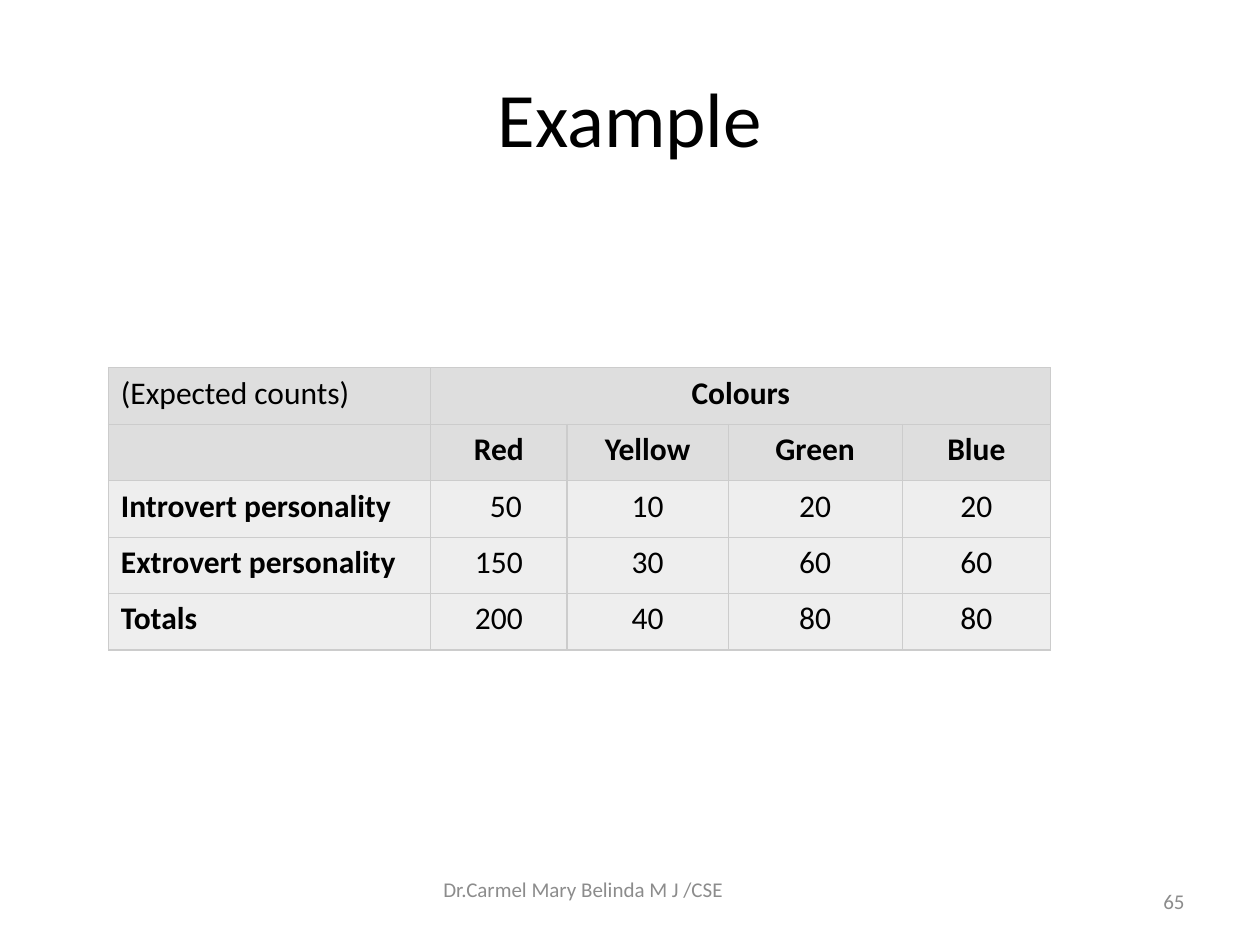
from dataclasses import dataclass

from lxml.etree import SubElement
from pptx import Presentation
from pptx.dml.color import RGBColor
from pptx.enum.text import MSO_ANCHOR, PP_ALIGN
from pptx.oxml.ns import qn
from pptx.util import Inches, Pt


@dataclass(frozen=True)
class Theme:
    font: str = "Calibri"
    text: str = "000000"
    muted: str = "8C8C8C"
    header_fill: str = "DEDEDE"
    body_fill: str = "EEEEEE"
    border: str = "CCCCCC"
    border_width: float = 0.75
    title_size: int = 44
    table_size: int = 18
    footer_size: int = 12


THEME = Theme()

COLUMN_WIDTHS = [2.56, 1.08, 1.28, 1.38, 1.18]
HEADER_ROWS = 2
ROWS = [
    ["(Expected counts)", "Colours", "", "", ""],
    ["", "Red", "Yellow", "Green", "Blue"],
    ["Introvert personality", "50", "10", "20", "20"],
    ["Extrovert personality", "150", "30", "60", "60"],
    ["Totals", "200", "40", "80", "80"],
]


def write(text_frame, text, size, color=THEME.text, align=PP_ALIGN.LEFT, bold=False):
    paragraph = text_frame.paragraphs[0]
    paragraph.text = text
    paragraph.alignment = align
    values = {"name": THEME.font, "size": Pt(size), "bold": bold}
    for name, value in values.items():
        setattr(paragraph.font, name, value)
    paragraph.font.color.rgb = RGBColor.from_string(color)


def place(shape, box):
    for name, value in zip(("left", "top", "width", "height"), box):
        setattr(shape, name, Inches(value))


def add_title(slide, box):
    title = slide.shapes.title
    place(title, box)
    title.text_frame.vertical_anchor = MSO_ANCHOR.MIDDLE
    write(title.text_frame, "Example", THEME.title_size, align=PP_ALIGN.CENTER)


def format_cell(cell, fill):
    # Borders come before the fill in the cell properties
    properties = cell._tc.get_or_add_tcPr()
    for side in ("lnL", "lnR", "lnT", "lnB"):
        line = SubElement(properties, qn(f"a:{side}"), w=str(Pt(THEME.border_width)))
        solid = SubElement(line, qn("a:solidFill"))
        SubElement(solid, qn("a:srgbClr"), val=THEME.border)
    cell.fill.solid()
    cell.fill.fore_color.rgb = RGBColor.from_string(fill)


def add_counts_table(slide, box):
    frame = slide.shapes.add_table(len(ROWS), len(COLUMN_WIDTHS), *map(Inches, box))
    table = frame.table
    for column, width in zip(table.columns, COLUMN_WIDTHS):
        column.width = Inches(width)

    for row, texts in enumerate(ROWS):
        is_header = row < HEADER_ROWS
        for column, text in enumerate(texts):
            cell = table.cell(row, column)
            format_cell(cell, THEME.header_fill if is_header else THEME.body_fill)
            write(cell.text_frame, text, THEME.table_size,
                  align=PP_ALIGN.CENTER if column else PP_ALIGN.LEFT,
                  bold=is_header == bool(column))

    # "Colours" spans the four colour columns; the first count sits a little to the right
    table.cell(0, 1).merge(table.cell(0, len(COLUMN_WIDTHS) - 1))
    table.cell(2, 1).margin_left = Inches(0.21)


def add_footer_text(slide, box, text, align, anchor, margin_top=0.05):
    shape = slide.shapes.add_textbox(*map(Inches, box))
    text_frame = shape.text_frame
    values = {"word_wrap": True, "vertical_anchor": anchor, "margin_top": Inches(margin_top)}
    for name, value in values.items():
        setattr(text_frame, name, value)
    write(text_frame, text, THEME.footer_size, THEME.muted, align)


def main():
    presentation = Presentation()
    presentation.slide_width = Inches(10)
    presentation.slide_height = Inches(7.5)
    slide = presentation.slides.add_slide(presentation.slide_layouts[5])

    add_title(slide, (0.5, 0.3, 9, 1.25))
    add_counts_table(slide, (0.86, 2.92, sum(COLUMN_WIDTHS), 2.24))

    # Footer: author and slide number
    add_footer_text(slide, (3.42, 6.95, 3.17, 0.4), "Dr.Carmel Mary Belinda M J /CSE",
                    PP_ALIGN.LEFT, MSO_ANCHOR.TOP, margin_top=0.01)
    add_footer_text(slide, (7.17, 6.95, 2.33, 0.4), "65", PP_ALIGN.RIGHT, MSO_ANCHOR.MIDDLE)

    presentation.save("out.pptx")


if __name__ == "__main__":
    main()
